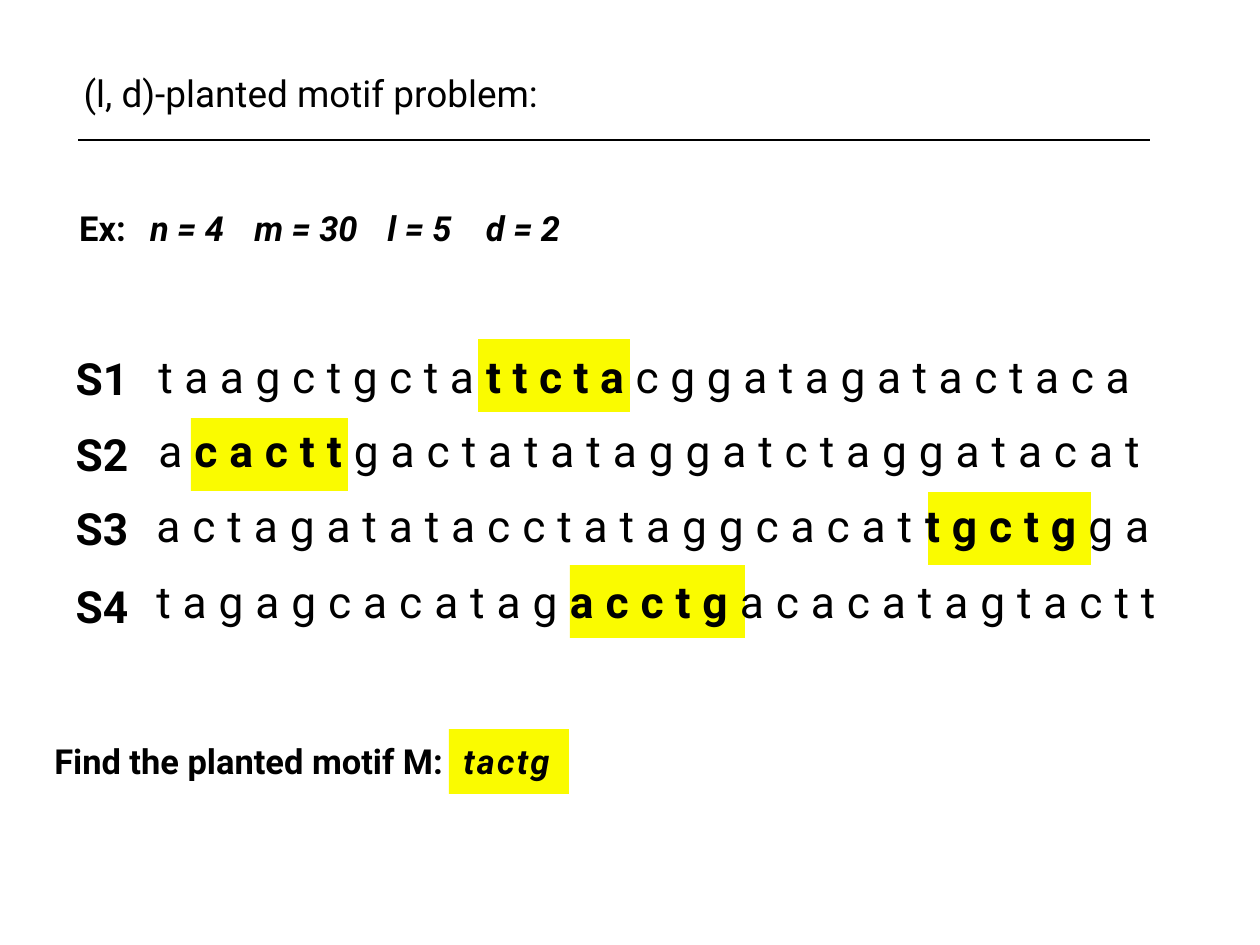
from pptx import Presentation
from pptx import util as u
from pptx.dml.color import RGBColor
from pptx.enum import shapes, text
from pptx.oxml.ns import qn
from lxml import etree

PX = 10320
BLACK = RGBColor(0x00, 0x00, 0x00)
YELLOW = RGBColor(0xFA, 0xFB, 0x00)

deck = Presentation()
deck.slide_width, deck.slide_height = 1260 * PX, 945 * PX
slide = deck.slides.add_slide(deck.slide_layouts[5])


def px(*lengths):
    return [length * PX for length in lengths]


def write(holder, *parts, place, size, bold=(True,), italic=False, spacing=0,
          align=text.PP_ALIGN.CENTER, wrap=False):
    """Place the holder and fill its one paragraph, one run for each part."""
    holder.left, holder.top, holder.width, holder.height = px(*place)
    frame = holder.text_frame
    frame.margin_left = frame.margin_right = u.Inches(0.06)
    frame.margin_top = frame.margin_bottom = u.Inches(0.06)
    frame.vertical_anchor = text.MSO_ANCHOR.MIDDLE
    frame.word_wrap = wrap
    frame.auto_size = (text.MSO_AUTO_SIZE.NONE if wrap
                       else text.MSO_AUTO_SIZE.SHAPE_TO_FIT_TEXT)
    paragraph = frame.paragraphs[0]
    paragraph.alignment = align
    for part, part_bold in zip(parts, bold):
        run = paragraph.add_run()
        run.text = part
        run.font.name = "Roboto"
        run.font.size = u.Pt(size)
        run.font.bold = part_bold
        run.font.italic = italic
        run.font.color.rgb = BLACK
        if spacing:
            run.font._element.set("spc", str(round(spacing * 100)))


write(slide.shapes.title, "(l, d)-planted motif problem:",
      place=(75, 66, 472, 54), size=30, bold=(False,))

rule = slide.shapes.add_connector(shapes.MSO_CONNECTOR.STRAIGHT,
                                  *px(78, 140, 1150, 140))
rule.line.color.rgb = BLACK
rule.line.width = u.Pt(2)
etree.SubElement(rule._element.spPr, qn("a:effectLst"))

# Yellow marks behind the planted motif in each sequence and behind the answer
for mark in [(478, 339, 152, 73), (191, 418, 157, 73), (928, 492, 163, 73),
             (570, 565, 175, 73), (449, 729, 120, 65)]:
    highlight = slide.shapes.add_shape(shapes.MSO_SHAPE.RECTANGLE, *px(*mark))
    highlight.shadow.inherit = False
    highlight.fill.solid()
    highlight.fill.fore_color.rgb = YELLOW
    highlight.line.fill.background()

# Example parameters
for parameter, left, width in [("Ex:", 70, 65), ("n = 4", 142, 90),
                               ("m = 30", 246, 120), ("l = 5", 380, 79),
                               ("d = 2", 478, 90)]:
    write(slide.shapes.add_textbox(0, 0, 0, 0), parameter,
          place=(left, 202, width, 51), size=28, italic=parameter != "Ex:")

# Sequences: label and its top, then the letters' left, top, width and spacing
sequences = [
    ("S1", 346, 153, 344, 1019, 9.4,
     ("taagctgcta", "ttcta", "cggatagatactaca")),
    ("S2", 422, 153, 418, 1019, 9.7,
     ("a", "cactt", "gactatataggatctaggatacat")),
    ("S3", 496, 151, 493, 1031, 9.7,
     ("actagatatacctataggcacat", "tgctg", "ga")),
    ("S4", 574, 151, 569, 1047, 9.7,
     ("tagagcacatag", "acctg", "acacatagtactt")),
]
for label, label_top, left, top, width, spacing, letters in sequences:
    write(slide.shapes.add_textbox(0, 0, 0, 0), label,
          place=(69, label_top, 66, 63), size=36)
    write(slide.shapes.add_textbox(0, 0, 0, 0), *letters,
          place=(left, top, width, 63), size=36, bold=(False, True, False),
          spacing=spacing, align=text.PP_ALIGN.LEFT, wrap=True)

# Question and answer
write(slide.shapes.add_textbox(0, 0, 0, 0), "Find the planted motif M:",
      place=(38, 735, 421, 51), size=28)
write(slide.shapes.add_textbox(0, 0, 0, 0), "tactg",
      place=(454, 735, 105, 51), size=28, italic=True, spacing=1.9)

deck.save("out.pptx")
